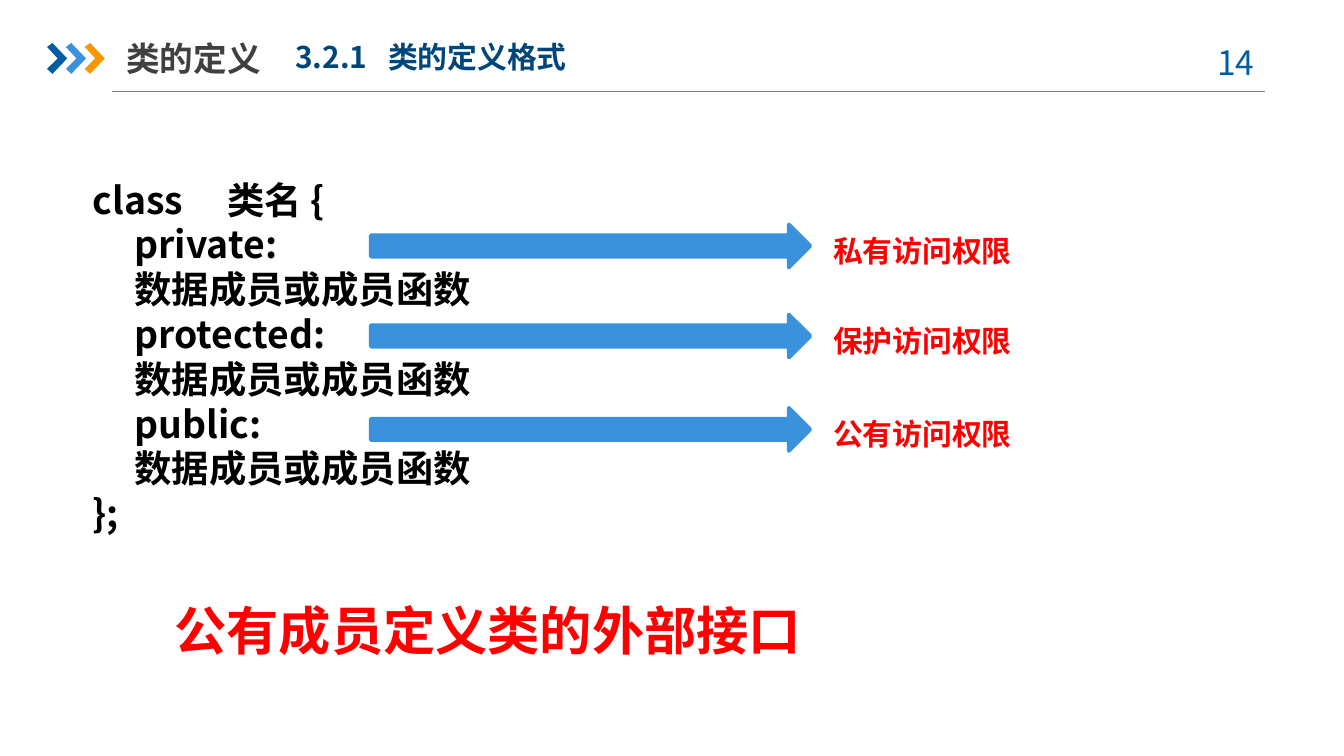
from pptx import Presentation
from pptx import util as u
from pptx.dml.color import RGBColor
from pptx.enum import shapes, text
from pptx.oxml import ns, xmlchemy as xml

COLS = 100
NOTO = "Noto Sans CJK SC"
BLUE, SKY, GOLD, RED = "005DA2", "3992DB", "F79600", "FF0000"

deck = Presentation()
deck.slide_width = u.Inches(10)
deck.slide_height = u.Emu(deck.slide_width * 9 // 16)
UNIT = deck.slide_width / COLS


def hue(code):
    return RGBColor.from_string(code)


def span(n):
    return u.Emu(round(n * UNIT))


def part(box, x, y, w, h):
    return box[0] + x, box[1] + y, w, h


def put(item, box):
    item.left, item.top, item.width, item.height = map(span, box)


def paint(item, fill, line=None):
    item.shadow.inherit = False
    item.fill.solid()
    item.fill.fore_color.rgb = hue(fill)
    if line:
        item.line.color.rgb = hue(fill)
        item.line.width = u.Pt(line)
    else:
        item.line.fill.background()


def add_run(para, words, size, color, bold=True, face=NOTO):
    run = para.add_run()
    run.text = words
    font = run.font
    font.size, font.bold, font.name = u.Pt(size), bold, face
    font.color.rgb = hue(color)
    east = xml.OxmlElement("a:ea")
    east.set("typeface", NOTO)
    font._element.find(ns.qn("a:latin")).addnext(east)


def set_tab(para, col):
    tabs = xml.OxmlElement("a:tabLst")
    stop = xml.OxmlElement("a:tab")
    stop.set("pos", str(span(col)))
    stop.set("algn", "l")
    tabs.append(stop)
    para._p.get_or_add_pPr().append(tabs)


def label(page, box, words, size, color, bold=True, face=NOTO):
    item = page.shapes.add_textbox(*map(span, box))
    frame = item.text_frame
    frame.word_wrap = True
    frame.auto_size = text.MSO_AUTO_SIZE.SHAPE_TO_FIT_TEXT
    para = frame.paragraphs[0]
    add_run(para, words, size, color, bold, face)
    return para


def chevron(page, box, color):
    x, y, w, h = box
    pts = [(0, 0.13), (0.27, 0), (1, 0.5), (0.27, 1), (0, 0.84), (0.53, 0.5)]
    pts = [(span(x + a * w), span(y + b * h)) for a, b in pts]
    pen = page.shapes.build_freeform(*pts[0])
    pen.add_line_segments(pts[1:], close=True)
    paint(pen.convert_to_shape(), color)


def header(page, box):
    x, y, w, h = box
    rule = page.shapes.add_connector(
        shapes.MSO_CONNECTOR.STRAIGHT,
        span(x + 4.8), span(y + h), span(x + w), span(y + h))
    rule.line.color.rgb = hue("808080")
    rule.line.width = u.Pt(0.75)
    rule._element.spPr.append(xml.OxmlElement("a:effectLst"))
    for i, color in enumerate((BLUE, SKY, GOLD)):
        chevron(page, part(box, 1.4 * i, 1, 1.5, 2.3), color)

    num = label(page, part(box, 84.8, 0.4, 7.3, 4), "14", 18, BLUE, False)
    num.alignment = text.PP_ALIGN.CENTER

    title = page.shapes.title
    put(title, part(box, 5.9, 0, 23.3, 4.2))
    frame = title.text_frame
    frame.auto_size = text.MSO_AUTO_SIZE.NONE
    frame.vertical_anchor = text.MSO_ANCHOR.MIDDLE
    frame.margin_left = frame.margin_right = 0
    para = frame.paragraphs[0]
    para.alignment = text.PP_ALIGN.LEFT
    add_run(para, "类的定义", 18, "404040")

    sub = label(page, part(box, 17.5, 0.2, 32.3, 3.7),
                "3.2.1\t类的定义格式", 16, "00467A")
    set_tab(sub, 6.9)


def code(page, box):
    body = page.placeholders[1]
    put(body, box)
    frame = body.text_frame
    frame.auto_size = text.MSO_AUTO_SIZE.NONE
    frame.vertical_anchor = text.MSO_ANCHOR.TOP
    frame.margin_top = span(0.45)
    rows = [(0, "class\t类名 {")]
    for word in ("private:", "protected:", "public:"):
        rows += [(3.1, word), (3.1, "数据成员或成员函数")]
    rows.append((0, "};"))
    for i, (inset, words) in enumerate(rows):
        para = frame.add_paragraph() if i else frame.paragraphs[0]
        para.line_spacing = u.Pt(24)
        para.space_before = para.space_after = u.Pt(0)
        props = para._p.get_or_add_pPr()
        props.set("marL", str(span(inset)))
        props.set("indent", "0")
        props.append(xml.OxmlElement("a:buNone"))
        if "\t" in words:
            set_tab(para, 8.65)
        add_run(para, words, 20, "000000")


def access(page, box):
    rights = ((0, "私有"), (6.7, "保护"), (13.65, "公有"))
    for top, kind in rights:
        arrow = page.shapes.add_shape(
            shapes.MSO_SHAPE.RIGHT_ARROW,
            *map(span, part(box, 0, top, 32.7, 3.2)))
        paint(arrow, SKY, 2)
        label(page, part(box, 33.4, top + 0.1, 32.3, 3.7),
              kind + "访问权限", 16, RED, face="Calibri")


def main():
    page = deck.slides.add_slide(deck.slide_layouts[1])
    header(page, (3.5, 2.2, 90.6, 4.62))
    code(page, (5.9, 12.7, 35.4, 31.3))
    access(page, (27.6, 16.7, 65.7, 17.4))
    label(page, (12, 44, 63.8, 5.7), "公有成员定义类的外部接口",
          28, RED, face="Calibri")
    deck.save("out.pptx")


if __name__ == "__main__":
    main()
